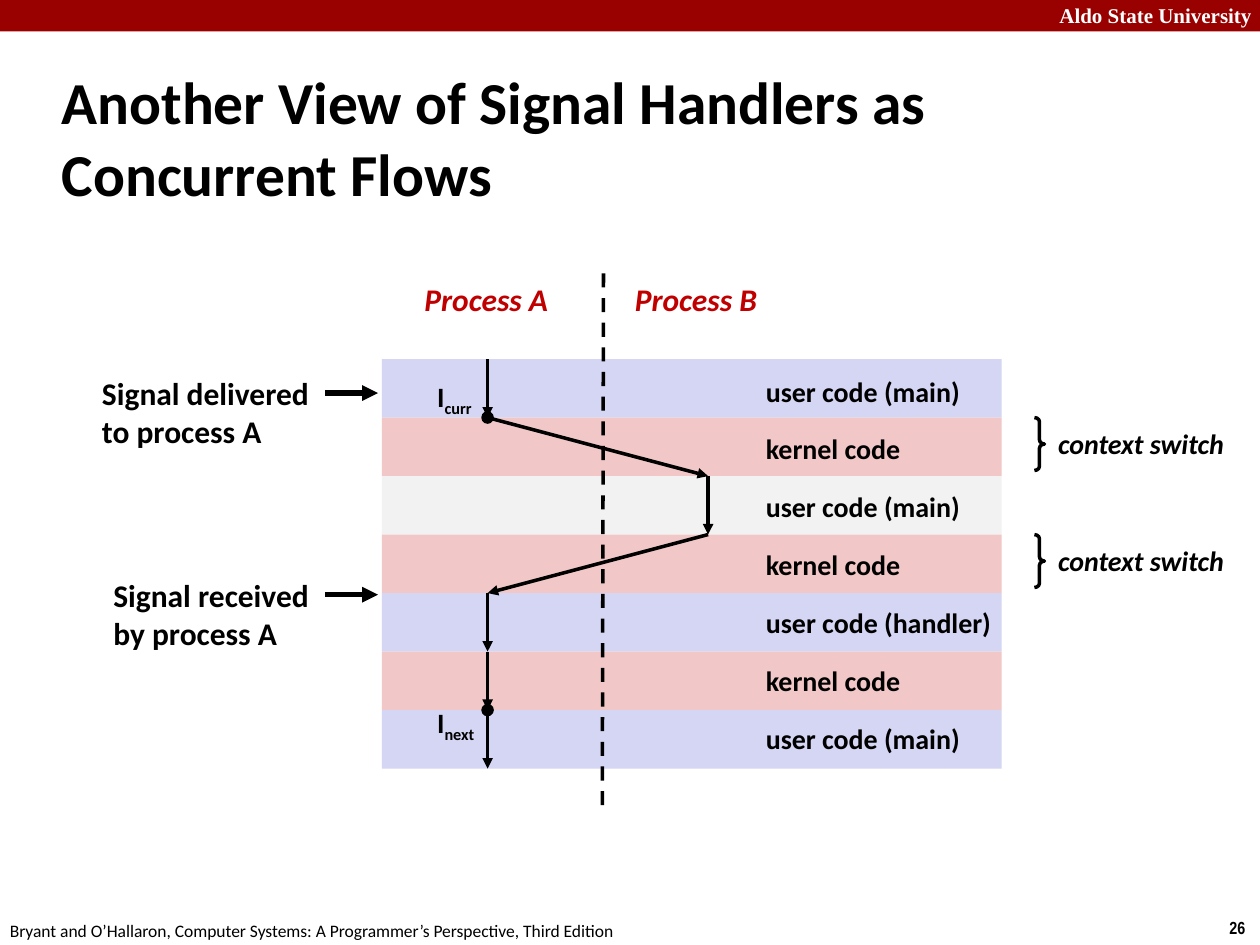
from lxml import etree
from pptx import Presentation
from pptx.dml.color import RGBColor
from pptx.enum.dml import MSO_LINE
from pptx.enum.shapes import MSO_CONNECTOR, MSO_SHAPE
from pptx.enum.text import MSO_ANCHOR, PP_ALIGN
from pptx.oxml.ns import qn
from pptx.util import Inches, Pt

RECT, OVAL, BRACE = MSO_SHAPE.RECTANGLE, MSO_SHAPE.OVAL, MSO_SHAPE.RIGHT_BRACE
STRAIGHT, DASH = MSO_CONNECTOR.STRAIGHT, MSO_LINE.DASH
LEFT, MIDDLE = PP_ALIGN.LEFT, MSO_ANCHOR.MIDDLE

BLACK, WHITE, RED, BAR = "000000", "FFFFFF", "C00000", "990000"
USER_A, USER_B, KERNEL = "D5D5F4", "F2F2F2", "F1C7C7"

# Content
TITLE = "Another View of Signal Handlers as Concurrent Flows"
UNIVERSITY = "Aldo State University"
SOURCE = ("Bryant and O’Hallaron, Computer Systems: "
          "A Programmer’s Perspective, Third Edition")
PAGE = "26"
BANDS = [
    ("user code (main)", USER_A),
    ("kernel code", KERNEL),
    ("user code (main)", USER_B),
    ("kernel code", KERNEL),
    ("user code (handler)", USER_A),
    ("kernel code", KERNEL),
    ("user code (main)", USER_A),
]
PROCESSES = [("Process A", 3.27), ("Process B", 4.94)]
SIGNALS = [  # lines, left, top, width
    (["Signal delivered", "to process A"], 0.76, 2.92, 1.77),
    (["Signal received", "by process A"], 0.85, 4.52, 1.67),
]
INSTRUCTIONS = [("curr", 2.96, 1), ("next", 5.55, 6)]  # subscript, top, step
FLOW = "AABBAAAA"  # process that runs at each band edge
SWITCHES = [1, 3]  # bands that are context switches

# Grid
BAND_LEFT, BAND_WIDTH = 3.03, 4.92
BAND_TOP, BAND_BOTTOM = 2.85, 6.1
BAND_HEIGHT = (BAND_BOTTOM - BAND_TOP) / len(BANDS)
LABEL_TOP, LABEL_STEP = 2.92, 0.46
FLOW_X = {"A": 3.87, "B": 5.62}
DOT = 0.1


def rgb(value):
    return RGBColor.from_string(value)


def edge(i):
    return BAND_TOP + i * BAND_HEIGHT


def add_shape(kind, x, y, w, h, fill=None, line=None):
    sp = s.shapes.add_shape(kind, Inches(x), Inches(y), Inches(w), Inches(h))
    sp.shadow.inherit = False
    if fill:
        sp.fill.solid()
        sp.fill.fore_color.rgb = rgb(fill)
    else:
        sp.fill.background()
    if line:
        sp.line.color.rgb = rgb(line)
        sp.line.width = Pt(2)
    else:
        sp.line.fill.background()
    return sp


def style(font, size, color=BLACK, bold=True, italic=False, name="Calibri"):
    font.name, font.size = name, Pt(size)
    font.bold, font.italic = bold, italic
    font.color.rgb = rgb(color)


def add_text(lines, x, y, w, h, size, inset=0.1, **look):
    tf = s.shapes.add_textbox(Inches(x), Inches(y), Inches(w), Inches(h)).text_frame
    tf.word_wrap = False
    tf.margin_left = tf.margin_right = Inches(inset)
    for i, line in enumerate(lines):
        p = tf.add_paragraph() if i else tf.paragraphs[0]
        p.add_run().text = line
        style(p.font, size, **look)
    return tf


def add_line(x1, y1, x2, y2, width=2, arrow=True):
    c = s.shapes.add_connector(STRAIGHT, Inches(x1), Inches(y1), Inches(x2), Inches(y2))
    c.line.color.rgb = rgb(BLACK)
    c.line.width = Pt(width)
    if arrow:
        etree.SubElement(c.line._get_or_add_ln(), qn("a:tailEnd"), type="triangle")
    etree.SubElement(c._element.spPr, qn("a:effectLst"))
    return c


prs = Presentation()
prs.slide_width, prs.slide_height = Inches(10), Inches(7.5)
s = prs.slides.add_slide(prs.slide_layouts[5])

# Header and footer
add_shape(RECT, 0, 0, 10, 0.25, BAR)
add_text([UNIVERSITY], 8.31, -0.03, 1.76, 0.3, 12, color=WHITE, name="Times New Roman")
add_text([PAGE], 9.66, 7.23, 0.34, 0.27, 10, name="Arial Narrow")
add_text([SOURCE], -0.02, 7.25, 5.08, 0.27, 10, bold=False)

# Title
title = s.shapes.title
title.left, title.top = Inches(0.39), Inches(0.67)
title.width, title.height = Inches(8.3), Inches(0.83)
tf = title.text_frame
tf.text = TITLE
tf.word_wrap = True
tf.vertical_anchor = MIDDLE
tf.paragraphs[0].alignment = LEFT
style(tf.paragraphs[0].font, 34)

# Code bands, then their labels
for i, (_, color) in enumerate(BANDS):
    add_shape(RECT, BAND_LEFT, edge(i), BAND_WIDTH, BAND_HEIGHT, color)
for i, (label, _) in enumerate(BANDS):
    add_text([label], 5.98, LABEL_TOP + i * LABEL_STEP, 1.28 if label == "kernel code"
             else 2.02 if "handler" in label else 1.76, 0.37, 16)

# Process headings and divider
for name, x in PROCESSES:
    add_text([name], x, 2.17, 1.2, 0.4, 18, color=RED, italic=True)
add_line(4.79, 2.17, 4.78, 6.47, arrow=False).line.dash_style = DASH

# Signal events
for lines, x, y, w in SIGNALS:
    add_text(lines, x, y, w, 0.71, 18, inset=0.05)
    add_line(2.58, y + 0.2, 3, y + 0.2, width=3)

# Context switches
for i in SWITCHES:
    brace = add_shape(BRACE, 8.21, edge(i), 0.08, 0.42, line=BLACK)
    brace.adjustments[0] = 0.42
    add_text(["context switch"], 8.3, edge(i) + 0.02, 1.54, 0.37, 16, italic=True)

# Control flow
points = [(FLOW_X[process], edge(i)) for i, process in enumerate(FLOW)]
for start, end in zip(points, points[1:]):
    add_line(*start, *end)

# Current and next instructions
for sub, y, step in INSTRUCTIONS:
    tf = add_text(["I"], 3.42, y, 0.43, 0.37, 16, inset=0.05)
    r = tf.paragraphs[0].add_run()
    r.text = sub
    r._r.get_or_add_rPr().set("baseline", "-25000")
    x, y = points[step]
    add_shape(OVAL, x - DOT / 2, y - DOT / 2, DOT, DOT, BLACK)

prs.save("out.pptx")
